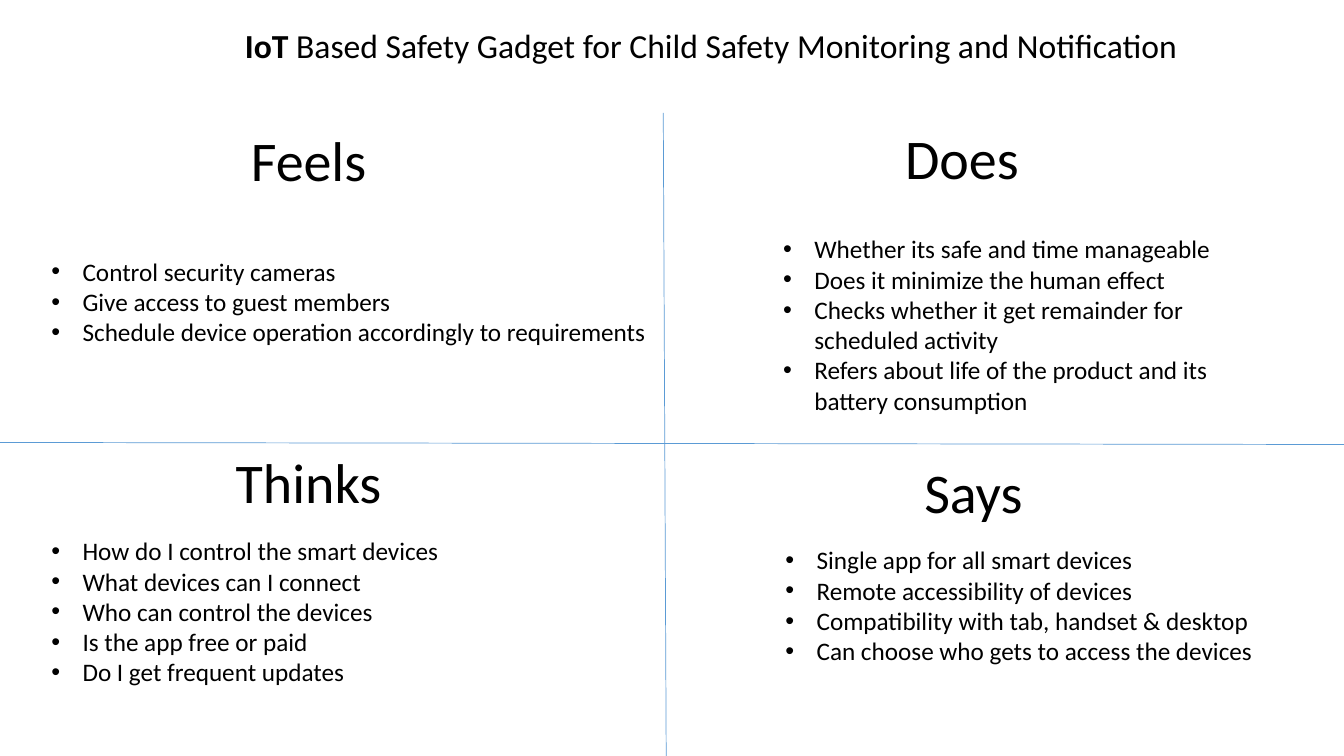
"""Build the empathy map slide for a child safety gadget."""
from dataclasses import dataclass

from lxml.etree import SubElement
from pptx import Presentation
from pptx.dml.color import RGBColor
from pptx.enum.shapes import MSO_CONNECTOR
from pptx.enum.text import MSO_ANCHOR, PP_ALIGN
from pptx.oxml.ns import qn
from pptx.util import Inches, Length, Pt

FONT = "Calibri"
INK = "000000"
RULE = "5B9BD5"
HEADING_SIZE = (13.5, 10.27)
BULLET_INDENT = Inches(0.31)

deck = Presentation()
deck.slide_width, deck.slide_height = Inches(13.33), Inches(7.5)
slide = deck.slides.add_slide(deck.slide_layouts[5])


@dataclass(frozen=True)
class Quadrant:
    """One heading and its bullets, placed in percent of the slide."""
    heading: str
    heading_at: tuple[float, float]
    bullets_at: tuple[float, float]
    bullets_size: tuple[float, float]
    bullets: tuple[str, ...]


@dataclass(frozen=True)
class Divider:
    """A line between quadrants, placed in percent of the slide."""
    start: tuple[float, float]
    end: tuple[float, float]


QUADRANTS = (
    Quadrant("Feels", (17.93, 16), (3.08, 33.2), (47.33, 17.47), (
        "Control security cameras",
        "Give access to guest members",
        "Schedule device operation accordingly to requirements",
    )),
    Quadrant("Does", (66.6, 15.7), (57.53, 30.27), (34.13, 25.6), (
        "Whether its safe and time manageable",
        "Does it minimize the human effect",
        "Checks whether it get remainder for scheduled activity",
        "Refers about life of the product and its battery consumption",
    )),
    Quadrant("Thinks", (16.8, 58.53), (3.08, 70.2), (43.8, 21.6), (
        "How do I control the smart devices",
        "What devices can I connect",
        "Who can control the devices",
        "Is the app free or paid",
        "Do I get frequent updates",
    )),
    Quadrant("Says", (68.03, 59.87), (57.7, 71.4), (37.13, 17.47), (
        "Single app for all smart devices",
        "Remote accessibility of devices",
        "Compatibility with tab, handset & desktop",
        "Can choose who gets to access the devices",
    )),
)
DIVIDERS = (
    Divider((49.35, 14.93), (49.57, 100)),
    Divider((0, 58.53), (100, 58.8)),
)


def colour(hex_code: str) -> RGBColor:
    """Turn a hex string into a colour."""
    return RGBColor.from_string(hex_code)


def share(pair: tuple[float, float]) -> tuple[Length, Length]:
    """Turn percentages of the slide's width and height into lengths."""
    across, down = pair
    return (Length(round(deck.slide_width * across / 100)),
            Length(round(deck.slide_height * down / 100)))


def add_run(paragraph, text: str, size: float, bold: bool = False) -> None:
    """Add one formatted run to a paragraph."""
    run = paragraph.add_run()
    run.text = text
    run.font.name, run.font.size, run.font.bold = FONT, Pt(size), bold
    run.font.color.rgb = colour(INK)


def add_bullet(paragraph) -> None:
    """Give a paragraph a hanging round bullet."""
    properties = paragraph._p.get_or_add_pPr()
    properties.set("marL", str(BULLET_INDENT))
    properties.set("indent", str(-BULLET_INDENT))
    SubElement(properties, qn("a:buFont")).set("typeface", "Arial")
    SubElement(properties, qn("a:buChar")).set("char", "•")


def add_lines(at: tuple[float, float], extent: tuple[float, float],
              lines: tuple[str, ...], size: float, bulleted: bool) -> None:
    """Add a text box with one paragraph for each line."""
    frame = slide.shapes.add_textbox(*share(at), *share(extent)).text_frame
    frame.word_wrap = True
    for index, line in enumerate(lines):
        paragraph = frame.add_paragraph() if index else frame.paragraphs[0]
        if bulleted:
            add_bullet(paragraph)
        add_run(paragraph, line, size)


def add_title() -> None:
    """Place the project name in the title placeholder."""
    title = slide.shapes.title
    title.left, title.top = share((7.9, 3.2))
    title.width, title.height = share((90, 8))
    frame = title.text_frame
    frame.word_wrap, frame.vertical_anchor = True, MSO_ANCHOR.TOP
    paragraph = frame.paragraphs[0]
    paragraph.alignment, paragraph.line_spacing = PP_ALIGN.CENTER, 0.9
    add_run(paragraph, "IoT", 24, bold=True)
    add_run(paragraph, " Based Safety Gadget for Child Safety Monitoring and Notification", 24)


def add_divider(divider: Divider) -> None:
    """Draw one thin line between quadrants."""
    rule = slide.shapes.add_connector(
        MSO_CONNECTOR.STRAIGHT, *share(divider.start), *share(divider.end))
    rule.line.color.rgb, rule.line.width = colour(RULE), Pt(0.5)
    SubElement(rule._element.spPr, qn("a:effectLst"))


def add_quadrant(quadrant: Quadrant) -> None:
    """Write a quadrant's heading and bullets."""
    add_lines(quadrant.heading_at, HEADING_SIZE, (quadrant.heading,), 40, False)
    add_lines(quadrant.bullets_at, quadrant.bullets_size, quadrant.bullets, 18, True)


add_title()
for divider in DIVIDERS:
    add_divider(divider)
for quadrant in QUADRANTS:
    add_quadrant(quadrant)
deck.save("out.pptx")
